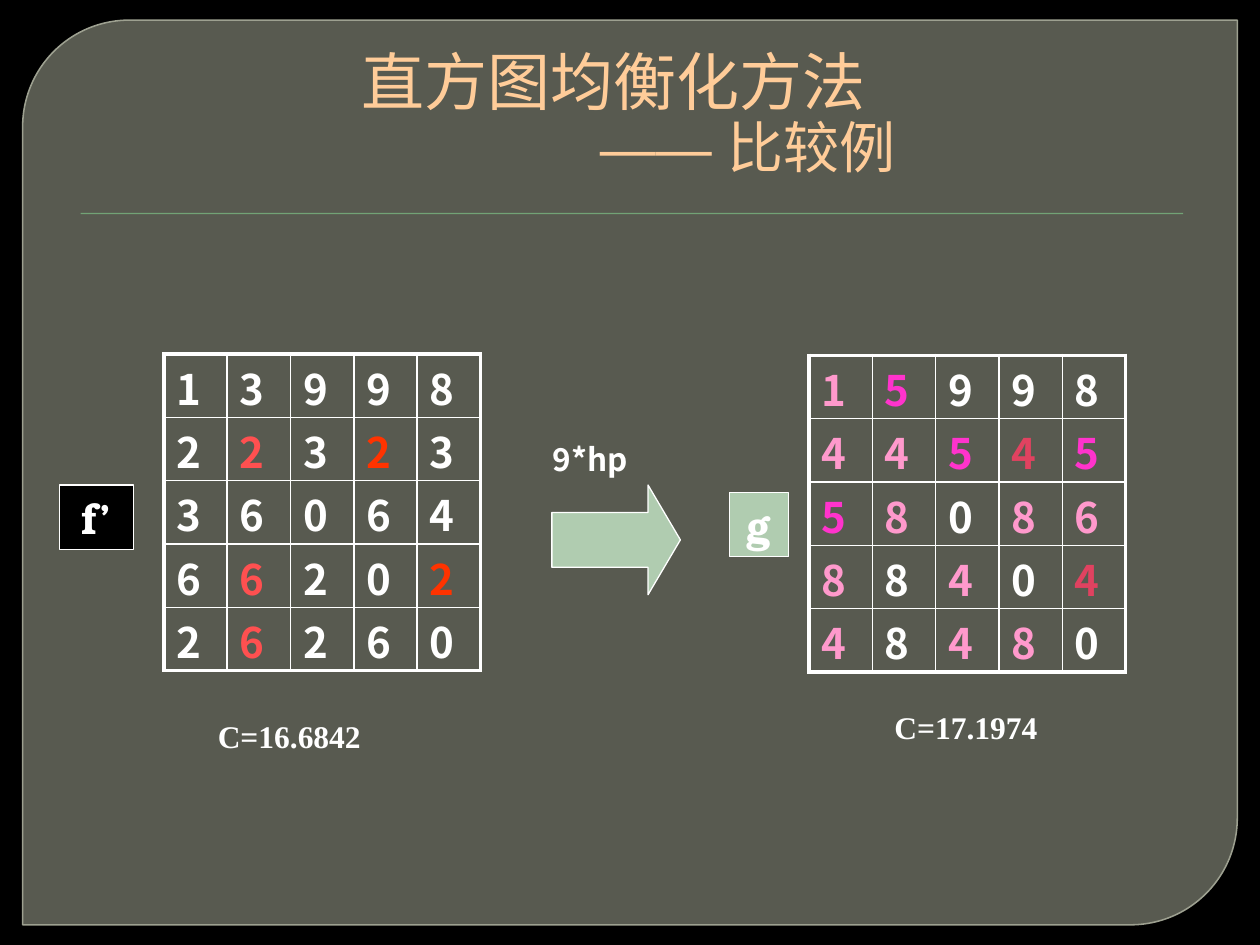
"""Builds the slide comparing a grid before and after histogram equalization."""
from typing import NamedTuple

import pptx
import pptx.dml.color
import pptx.enum.shapes
import pptx.enum.text
import pptx.oxml
import pptx.oxml.ns
import pptx.util

RGB = pptx.dml.color.RGBColor
Pt = pptx.util.Pt
Kind = pptx.enum.shapes.MSO_SHAPE
Align = pptx.enum.text.PP_ALIGN
Anchor = pptx.enum.text.MSO_ANCHOR
qn = pptx.oxml.ns.qn

BLACK = RGB(0x00, 0x00, 0x00)
WHITE = RGB(0xFF, 0xFF, 0xFF)
OLIVE = RGB(0x88, 0x8B, 0x7B)
EDGE = RGB(0x9D, 0xA0, 0x90)
GREEN = RGB(0x72, 0xA3, 0x76)
MINT = RGB(0xB0, 0xCC, 0xB0)
PEACH = RGB(0xFF, 0xCC, 0x99)
CORAL = RGB(0xFF, 0x50, 0x50)
RED = RGB(0xFF, 0x33, 0x00)
PINK = RGB(0xFF, 0x99, 0xCC)
MAUVE = RGB(0xFF, 0x33, 0xCC)
ROSE = RGB(0xE0, 0x42, 0x60)
INKS = {"w": WHITE, "c": CORAL, "r": RED, "p": PINK, "m": MAUVE, "o": ROSE}

SANS, SERIF, BOOK = "Noto Sans CJK SC", "Times New Roman", "TeX Gyre Bonum"
COLS, ROWS = 100, 75
UNIT = pptx.util.Inches(0.1)
CELL = 5.03
THICK, THIN = 2.25, 1


class Box(NamedTuple):
    """Left, top, width and height in grid columns and rows."""
    x: float
    y: float
    w: float
    h: float


class Block(NamedTuple):
    """A filled shape, with its adjustments and line."""
    kind: int
    box: Box
    fill: RGB
    line: RGB | None = WHITE
    adj: tuple = ()
    width: float = 0.75
    alpha: int = 100


class Label(NamedTuple):
    """A text box holding one line."""
    text: str
    box: Box
    font: str


class Matrix(NamedTuple):
    """A table of digits with one ink letter for each digit."""
    box: Box
    digits: tuple
    inks: tuple


def span(box: Box) -> list:
    """Turn grid lengths into slide lengths."""
    return [round(v * UNIT) for v in box]


def write(para, text: str, *, font: str, size: float = 24, ink: RGB = WHITE,
          bold: bool = True, align: int = Align.LEFT) -> None:
    """Add a formatted run to a paragraph."""
    para.alignment = align
    run = para.add_run()
    run.text = text
    run.font.name, run.font.size, run.font.bold = font, Pt(size), bold
    run.font.color.rgb = ink
    east = pptx.oxml.parse_xml(
        f'<a:ea {pptx.oxml.ns.nsdecls("a")} typeface="{font}"/>')
    run.font._element.find(qn("a:latin")).addnext(east)


def fade(fill, alpha: int) -> None:
    """Set the opacity of a solid fill in percent."""
    tone = fill._xPr.find(qn("a:solidFill"))[0]
    tone.append(pptx.oxml.parse_xml(
        f'<a:alpha {pptx.oxml.ns.nsdecls("a")} val="{alpha * 1000}"/>'))


def block(slide, spec_: Block):
    """Draw a filled shape."""
    shape = slide.shapes.add_shape(spec_.kind, *span(spec_.box))
    shape.shadow.inherit = False
    for i, value in enumerate(spec_.adj):
        shape.adjustments[i] = value
    shape.fill.solid()
    shape.fill.fore_color.rgb = spec_.fill
    if spec_.alpha < 100:
        fade(shape.fill, spec_.alpha)
    if spec_.line is None:
        shape.line.fill.background()
    else:
        shape.line.color.rgb = spec_.line
        shape.line.width = Pt(spec_.width)
    return shape


def frame(slide, box: Box):
    """Add a wrapping text box and return its text frame."""
    body = slide.shapes.add_textbox(*span(box)).text_frame
    body.word_wrap = True
    return body


def border(cell, row: int, col: int, last: int) -> None:
    """Rule a cell, thicker along the outside of the table."""
    outer = {"L": col == 0, "R": col == last, "T": row == 0, "B": row == last}
    props = cell._tc.get_or_add_tcPr()
    for i, (side, edge) in enumerate(outer.items()):
        width = Pt(THICK if edge else THIN)
        props.insert(i, pptx.oxml.parse_xml(
            f'<a:ln{side} {pptx.oxml.ns.nsdecls("a")} w="{width}"><a:solidFill>'
            f'<a:srgbClr val="{WHITE}"/></a:solidFill></a:ln{side}>'))


def matrix(slide, grid: Matrix) -> None:
    """Draw a table of digits."""
    count = len(grid.digits)
    table = slide.shapes.add_table(count, count, *span(grid.box)).table
    table.first_row = table.horz_banding = False
    for r, (digits, inks) in enumerate(zip(grid.digits, grid.inks)):
        table.rows[r].height = round(grid.box.h / count * UNIT)
        for c, (digit, ink) in enumerate(zip(digits, inks)):
            cell = table.cell(r, c)
            cell.fill.background()
            cell.margin_top, cell.margin_bottom = Pt(1.3), 0
            cell.vertical_anchor = Anchor.BOTTOM
            write(cell.text_frame.paragraphs[0], digit, font=SANS, ink=INKS[ink])
            border(cell, r, c, count - 1)


def title(slide) -> None:
    """Write the two-line heading."""
    body = frame(slide, Box(5.1, 3.6, 86.6, 18.1))
    first, second = body.paragraphs[0], body.add_paragraph()
    look = {"ink": PEACH, "bold": False, "align": Align.CENTER}
    write(first, "直方图均衡化方法", font=SANS, size=36, **look)
    write(second, "—— ", font="Arial", size=32, **look)
    write(second, "比较例", font=SANS, size=32, **look)
    for para, shift in ((first, 0.6), (second, 21.9)):
        para.line_spacing = 0.9
        para._p.get_or_add_pPr().set("marL", str(round(shift * UNIT)))


def tag(slide, text: str, box: Box, fill: RGB) -> None:
    """Draw a named box beside a table."""
    body = block(slide, Block(Kind.RECTANGLE, box, fill)).text_frame
    write(body.paragraphs[0], text, font=BOOK, align=Align.CENTER)


BACK = (
    Block(Kind.ROUND_2_DIAG_RECTANGLE, Box(1.8, 1.6, 96.4, 71.8), OLIVE, EDGE,
          (0.118, 0), 0.87, 65),
    Block(Kind.RECTANGLE, Box(6.4, 16.9, 87.5, 0.1), GREEN, None),
)
ARROW = Block(Kind.RIGHT_ARROW, Box(43.8, 38.5, 10.2, 8.7), MINT, adj=(0.5, 0.295))
GRIDS = (
    Matrix(Box(64.2, 28.2, 5 * CELL, 5 * CELL),
           ("15998", "44545", "58086", "88404", "48480"),
           ("pmwww", "ppmom", "mpwpp", "pwpwo", "pwppw")),
    Matrix(Box(13, 28.1, 5 * CELL, 5 * CELL),
           ("13998", "22323", "36064", "66202", "26260"),
           ("wwwww", "wcwrw", "wwwww", "wcwwr", "wcwww")),
)
LABELS = (
    Label("C=16.6842", Box(16.3, 56.4, 20.8, 4), SERIF),
    Label("9*hp", Box(42.9, 34.4, 10.8, 4), SANS),
    Label("C=17.1974", Box(70, 55.7, 15.8, 4), SERIF),
)


def main() -> None:
    """Build and save the slide."""
    deck = pptx.Presentation()
    deck.slide_width, deck.slide_height = COLS * UNIT, ROWS * UNIT
    slide = deck.slides.add_slide(deck.slide_layouts[6])
    slide.background.fill.solid()
    slide.background.fill.fore_color.rgb = BLACK
    for item in BACK:
        block(slide, item)
    title(slide)
    tag(slide, "f’", Box(4.7, 38.5, 5.9, 5.1), BLACK)
    tag(slide, "g", Box(57.9, 39.1, 4.7, 5.1), MINT)
    for grid in GRIDS:
        matrix(slide, grid)
    block(slide, ARROW)
    for label in LABELS:
        body = frame(slide, label.box)
        write(body.paragraphs[0], label.text, font=label.font, size=18)
    deck.save("out.pptx")


if __name__ == "__main__":
    main()
